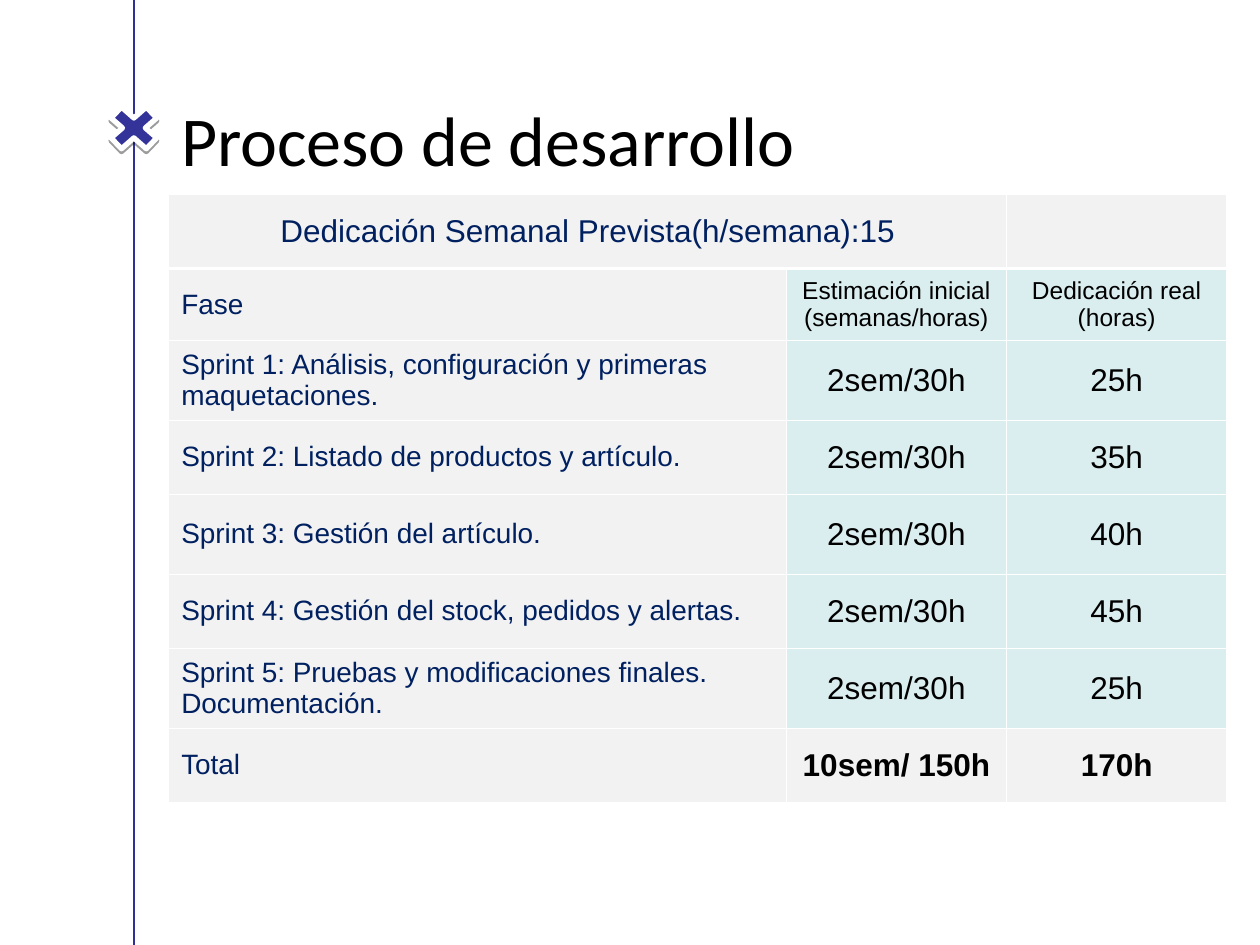
from lxml import etree
from pptx import Presentation
from pptx.dml.color import RGBColor
from pptx.enum.shapes import MSO_CONNECTOR
from pptx.enum.text import MSO_ANCHOR, PP_ALIGN
from pptx.oxml import parse_xml
from pptx.oxml.ns import nsdecls, qn
from pptx.util import Cm, Pt

MIDDLE = MSO_ANCHOR.MIDDLE
LEFT, CENTER = PP_ALIGN.LEFT, PP_ALIGN.CENTER
STRAIGHT = MSO_CONNECTOR.STRAIGHT

# Content
TITLE = "Proceso de desarrollo"
ROWS = [
    ("Dedicación Semanal Prevista(h/semana):15", "", ""),
    ("Fase", "Estimación inicial (semanas/horas)", "Dedicación real\n(horas)"),
    ("Sprint 1: Análisis, configuración y primeras maquetaciones.", "2sem/30h", "25h"),
    ("Sprint 2: Listado de productos y artículo.", "2sem/30h", "35h"),
    ("Sprint 3: Gestión del artículo.", "2sem/30h", "40h"),
    ("Sprint 4: Gestión del stock, pedidos y alertas.", "2sem/30h", "45h"),
    ("Sprint 5: Pruebas y modificaciones finales. Documentación.", "2sem/30h", "25h"),
    ("Total", "10sem/ 150h", "170h"),
]
COL_WIDTHS = [12.45, 4.44, 4.44]
ROW_HEIGHTS = [1.5, 1.45, 1.6, 1.5, 1.6, 1.5, 1.6, 1.5]
BANNER, HEADER, TOTAL = 0, 1, len(ROWS) - 1

# Colours and places (cm)
BLACK, WHITE, NAVY = "000000", "FFFFFF", "002060"
GREY, AQUA = "F2F2F2", "DAEDEF"
RULE, CROSS = "2F2F98", "333399"
CONTENT_X, RULE_X, CROSS_Y = 3.4, 2.7, 2.58
CROSS_POINTS = [
    (-0.46, -0.2), (-0.25, -0.42), (0, -0.2), (0.25, -0.42),
    (0.46, -0.2), (0.23, 0), (0.46, 0.2), (0.25, 0.42),
    (0, 0.2), (-0.25, 0.42), (-0.46, 0.2), (-0.23, 0),
]


def rgb(color):
    return RGBColor.from_string(color)


def style_text(tf, font, size, color, align=LEFT, bold=False):
    for p in tf.paragraphs:
        p.alignment = align
        for r in p.runs:
            r.font.name = font
            r.font.size = Pt(size)
            r.font.bold = bold
            r.font.color.rgb = rgb(color)


def set_borders(cell, top, bottom):
    tcPr = cell._tc.get_or_add_tcPr()
    sides = [("L", 0.45), ("R", 0.45), ("T", top), ("B", bottom)]
    for i, (side, width) in enumerate(sides):
        tcPr.insert(i, parse_xml(
            f'<a:ln{side} {nsdecls("a")} w="{Pt(width)}"><a:solidFill>'
            f'<a:srgbClr val="{WHITE}"/></a:solidFill></a:ln{side}>'))


prs = Presentation()
prs.slide_width, prs.slide_height = Cm(25.4), Cm(19.05)
s = prs.slides.add_slide(prs.slide_layouts[6])

# Title
tf = s.shapes.add_textbox(Cm(CONTENT_X), Cm(1.27), Cm(14.9), Cm(2.18)).text_frame
tf.word_wrap = True
tf.vertical_anchor = MIDDLE
tf.text = TITLE
tf.paragraphs[0].line_spacing = 1.5
style_text(tf, "Calibri", 40, BLACK)

# Vertical rule
rule = s.shapes.add_connector(STRAIGHT, Cm(RULE_X), 0, Cm(RULE_X), prs.slide_height)
rule.line.color.rgb = rgb(RULE)
rule.line.width = Pt(0.75)
etree.SubElement(rule._element.spPr, qn("a:effectLst"))

# Cross on the rule
points = [(Cm(RULE_X + dx), Cm(CROSS_Y + dy)) for dx, dy in CROSS_POINTS]
builder = s.shapes.build_freeform(*points[0])
builder.add_line_segments(points[1:], close=True)
cross = builder.convert_to_shape()
cross.fill.solid()
cross.fill.fore_color.rgb = rgb(CROSS)
cross.line.color.rgb = rgb(WHITE)
cross.line.width = Pt(3)
cross.shadow.inherit = False
cross._element.spPr.find(qn("a:effectLst")).append(parse_xml(
    f'<a:outerShdw {nsdecls("a")} blurRad="0" dist="{Pt(1.6)}" dir="5400000" '
    f'rotWithShape="0"><a:srgbClr val="{BLACK}"><a:alpha val="38000"/>'
    '</a:srgbClr></a:outerShdw>'))

# Table
table = s.shapes.add_table(
    len(ROWS), len(COL_WIDTHS), Cm(CONTENT_X), Cm(3.91),
    Cm(sum(COL_WIDTHS)), Cm(sum(ROW_HEIGHTS))).table
for column, width in zip(table.columns, COL_WIDTHS):
    column.width = Cm(width)
for row, height in zip(table.rows, ROW_HEIGHTS):
    row.height = Cm(height)
table.cell(BANNER, 0).merge(table.cell(BANNER, 1))

for i, texts in enumerate(ROWS):
    for j, text in enumerate(texts):
        cell = table.cell(i, j)
        cell.vertical_anchor = MIDDLE
        cell.fill.solid()
        cell.fill.fore_color.rgb = rgb(GREY if j == 0 or i in (BANNER, TOTAL) else AQUA)
        set_borders(cell, 1.47 if i == HEADER else 0.45, 1.47 if i == BANNER else 0.45)
        if not text:
            continue
        cell.text_frame.text = text
        if j == 0:
            size, color = (18 if i == BANNER else 16), NAVY
        else:
            size, color = (14 if i == HEADER else 18), BLACK
        align = CENTER if j or i == BANNER else LEFT
        style_text(cell.text_frame, "Arial", size, color, align, bold=j > 0 and i == TOTAL)

prs.save("out.pptx")
